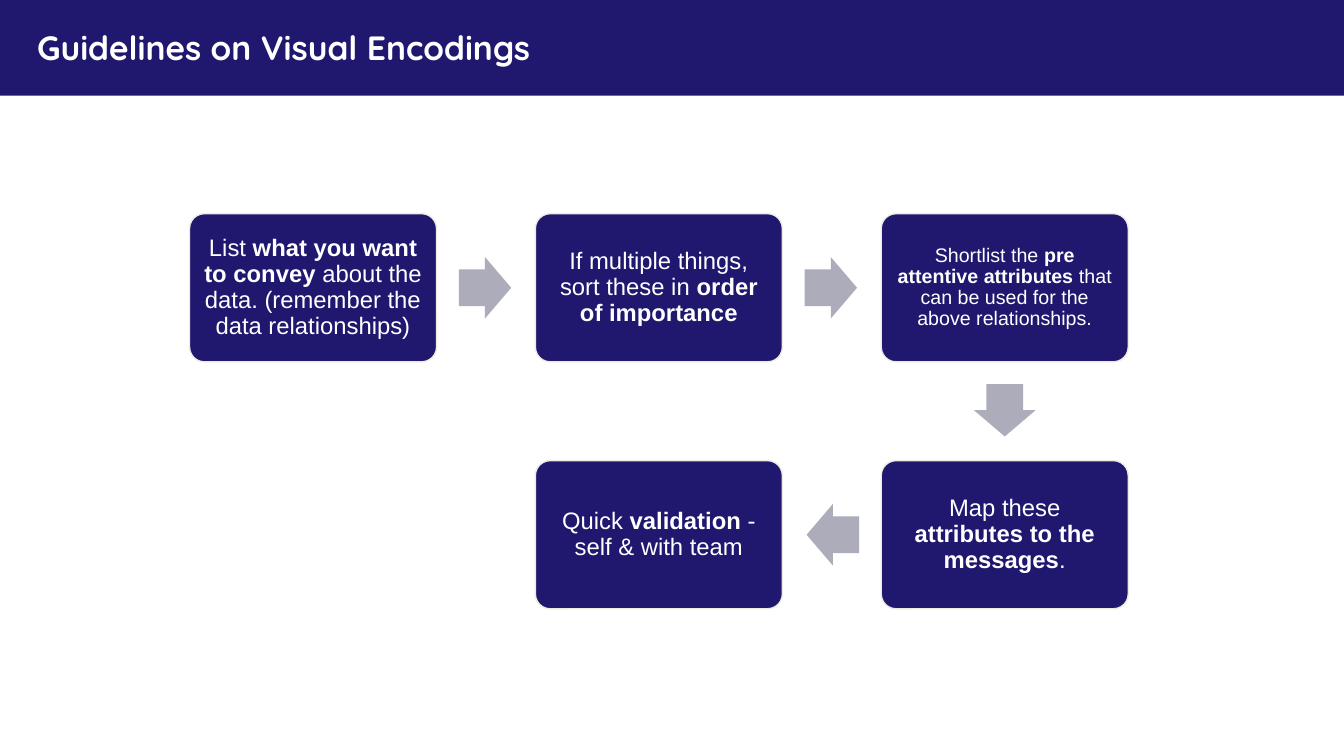
from dataclasses import dataclass

from pptx import Presentation
from pptx.dml.color import RGBColor
from pptx.enum.shapes import MSO_SHAPE as Preset
from pptx.enum.text import MSO_ANCHOR as Anchor, PP_ALIGN as Align
from pptx.util import Inches, Pt


@dataclass(frozen=True)
class Theme:
    navy: str = "20186F"
    arrow: str = "ACACBB"
    outline: str = "EEECE1"
    white: str = "FFFFFF"
    title_font: str = "Quicksand"
    body_font: str = "Arial"
    title_size: int = 24
    step_size: int = 17
    small_size: int = 14


THEME = Theme()

# Flow grid, in inches
LEFT, TOP = 1.88, 2.12
COLUMN_PITCH, ROW_PITCH = 3.43, 2.45
BOX_WIDTH, BOX_HEIGHT = 2.45, 1.47
ARROW_LENGTH, ARROW_BREADTH = 0.52, 0.61
ARROW_OFFSET = 0.48  # from a box edge to the centre of its arrow

# Column, row, text size, and text runs as (text, bold)
STEPS = [
    (0, 0, THEME.step_size, [
        ("List ", False), ("what you want to convey ", True),
        ("about the data. (remember the data relationships)", False)]),
    (1, 0, THEME.step_size, [
        ("If multiple things, sort these in ", False),
        ("order of importance", True)]),
    (2, 0, THEME.small_size, [
        ("Shortlist the ", False), ("pre attentive attributes", True),
        (" that can be used for the above relationships.", False)]),
    (2, 1, THEME.step_size, [
        ("Map these ", False), ("attributes to the messages", True),
        (".", False)]),
    (1, 1, THEME.step_size, [
        ("Quick ", False), ("validation ", True),
        ("- self & with team", False)]),
]


def write_text(shape, runs, *, size, font, align, inset=0.1, spacing=1.0):
    frame = shape.text_frame
    frame.word_wrap = True
    frame.vertical_anchor = Anchor.MIDDLE
    frame.margin_left = frame.margin_right = Inches(inset)
    frame.margin_top = frame.margin_bottom = Inches(inset)
    paragraph = frame.paragraphs[0]
    paragraph.alignment = align
    paragraph.line_spacing = spacing
    for text, bold in runs:
        run = paragraph.add_run()
        run.text = text
        run.font.name = font
        run.font.size = Pt(size)
        run.font.bold = bold
        run.font.color.rgb = RGBColor.from_string(THEME.white)


def add_filled(slide, preset, left, top, width, height, fill, outline=None):
    shape = slide.shapes.add_shape(
        preset, Inches(left), Inches(top), Inches(width), Inches(height))
    shape.shadow.inherit = False
    shape.fill.solid()
    shape.fill.fore_color.rgb = RGBColor.from_string(fill)
    if outline:
        shape.line.color.rgb = RGBColor.from_string(outline)
        shape.line.width = Pt(1)
    else:
        shape.line.fill.background()
    return shape


def add_header(slide, title):
    add_filled(slide, Preset.RECTANGLE, 0, 0, 13.33, 0.95, THEME.navy)
    box = slide.shapes.add_textbox(
        Inches(0.27), Inches(0.12), Inches(12.8), Inches(0.7))
    write_text(box, [(title, True)], size=THEME.title_size,
               font=THEME.title_font, align=Align.LEFT)


def add_step(slide, column, row, size, runs):
    box = add_filled(
        slide, Preset.ROUNDED_RECTANGLE,
        LEFT + column * COLUMN_PITCH, TOP + row * ROW_PITCH,
        BOX_WIDTH, BOX_HEIGHT, THEME.navy, THEME.outline)
    box.adjustments[0] = 0.1
    write_text(box, runs, size=size, font=THEME.body_font,
               align=Align.CENTER, inset=0.07, spacing=0.9)


def add_flow_arrow(slide, start, end):
    """Point from one (column, row) cell to the next."""
    across, down = end[0] - start[0], end[1] - start[1]
    center_x = (LEFT + start[0] * COLUMN_PITCH + BOX_WIDTH / 2
                + across * (BOX_WIDTH / 2 + ARROW_OFFSET))
    center_y = (TOP + start[1] * ROW_PITCH + BOX_HEIGHT / 2
                + down * (BOX_HEIGHT / 2 + ARROW_OFFSET))
    arrow = add_filled(
        slide, Preset.RIGHT_ARROW,
        center_x - ARROW_LENGTH / 2, center_y - ARROW_BREADTH / 2,
        ARROW_LENGTH, ARROW_BREADTH, THEME.arrow)
    arrow.adjustments[0] = 0.6
    arrow.adjustments[1] = 0.5
    arrow.rotation = {(1, 0): 0, (0, 1): 90, (-1, 0): 180}[across, down]


def main():
    presentation = Presentation()
    presentation.slide_width = Inches(13.33)
    presentation.slide_height = Inches(7.5)
    slide = presentation.slides.add_slide(presentation.slide_layouts[6])

    # Title band
    add_header(slide, "Guidelines on Visual Encodings")

    # Steps
    for step in STEPS:
        add_step(slide, *step)

    # Arrows between consecutive steps
    for start, end in zip(STEPS, STEPS[1:]):
        add_flow_arrow(slide, start[:2], end[:2])

    presentation.save("out.pptx")


if __name__ == "__main__":
    main()
